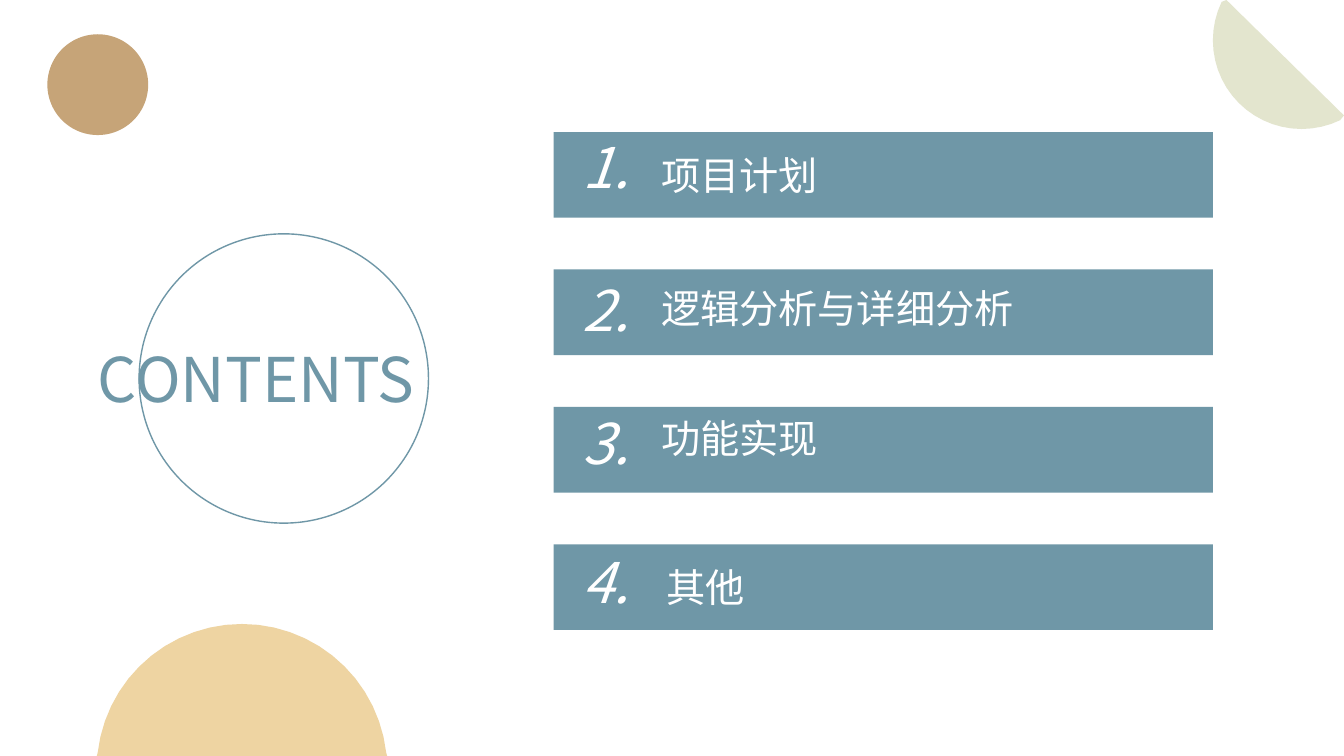
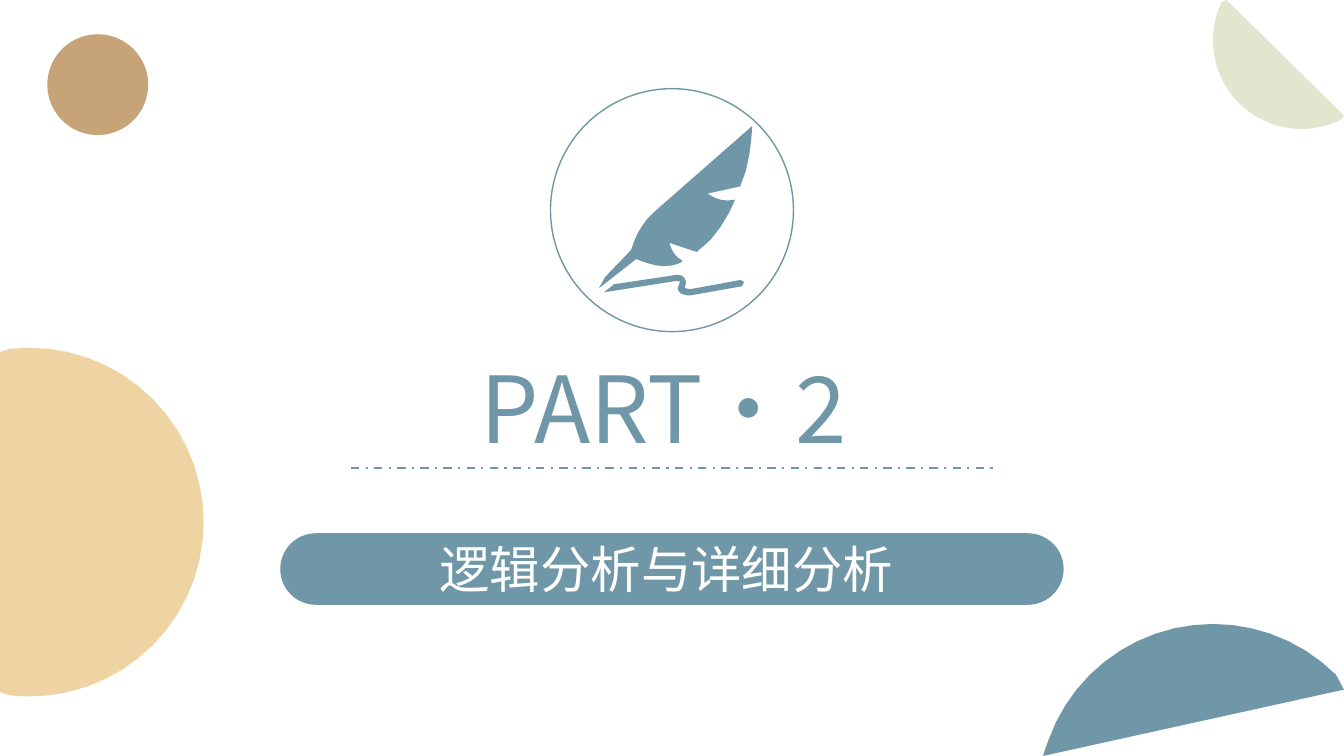
from math import cos, sin, pi
from lxml import etree
from pptx import Presentation
from pptx import util as u
from pptx.dml.color import RGBColor
from pptx.enum import dml, lang, shapes, text
from pptx.oxml.ns import qn

WIDE, HIGH = 13.33, 7.5
BLUE, SAND, TAN, SAGE, WHITE = "6F97A7", "EED4A2", "C6A478", "E3E5CE", "FFFFFF"
FONT = "Noto Sans CJK SC"
OVAL, RECT, ROUND = (shapes.MSO_SHAPE.OVAL, shapes.MSO_SHAPE.RECTANGLE,
                     shapes.MSO_SHAPE.ROUNDED_RECTANGLE)
LEFT, MID, JUST = text.PP_ALIGN.LEFT, text.PP_ALIGN.CENTER, text.PP_ALIGN.JUSTIFY

STROKE = [
    (6.69, 2.73), (6.72, 2.72, 6.75, 2.73, 6.77, 2.74),
    (6.8, 2.76, 6.81, 2.8, 6.8, 2.83), (6.79, 2.85), (6.8, 2.86), (6.84, 2.87),
    (7.33, 2.78), (7.35, 2.78), (7.38, 2.8), (7.36, 2.84), (6.85, 2.93),
    (6.82, 2.93), (6.77, 2.92), (6.74, 2.91, 6.73, 2.89, 6.72, 2.86),
    (6.74, 2.81), (6.74, 2.79), (6.69, 2.79), (5.99, 2.9), (6.09, 2.82)]
PLUME = [
    (7.46, 1.25), (7.46, 1.25, 7.45, 1.63, 7.34, 1.85), (7.02, 1.92),
    (7.02, 1.92, 7.1, 1.99, 7.22, 1.99), (7.29, 1.98),
    (7.29, 1.98, 7.16, 2.33, 6.91, 2.5), (6.64, 2.41),
    (6.64, 2.41, 6.66, 2.53, 6.77, 2.59), (6.77, 2.59, 6.72, 2.64, 6.59, 2.64),
    (6.52, 2.64, 6.43, 2.62, 6.31, 2.57), (5.94, 2.86), (6, 2.75), (6.26, 2.48),
    (6.3, 2.34, 6.37, 2.21, 6.48, 2.11)]


def color(code):
    return RGBColor.from_string(code)


def trace(path, steps):
    dots = [path[0]]
    for part in path[1:]:
        if len(part) == 2:
            dots.append(part)
            continue
        ends = [dots[-1], part[:2], part[2:4], part[4:]]
        for n in range(1, steps + 1):
            t = n / steps
            mix = ((1 - t) ** 3, 3 * t * (1 - t) ** 2, 3 * t * t * (1 - t), t ** 3)
            dots.append(tuple(sum(m * e[a] for m, e in zip(mix, ends)) for a in (0, 1)))
    return dots


def thin(dots):
    near = zip(dots[-1:] + dots[:-1], dots, dots[1:] + dots[:1])
    return [b for a, b, c in near
            if not (a[0] == b[0] == c[0] or a[1] == b[1] == c[1])]


class Deck:
    def __init__(self):
        self.prs = Presentation()
        self.prs.slide_width, self.prs.slide_height = u.Inches(WIDE), u.Inches(HIGH)

    def page(self):
        self.items = self.prs.slides.add_slide(self.prs.slide_layouts[6]).shapes

    def paint(self, item, fill=None, line=None):
        item.shadow.inherit = False
        if fill:
            item.fill.solid()
            item.fill.fore_color.rgb = color(fill)
        else:
            item.fill.background()
        if line:
            item.line.color.rgb = color(line)
            item.line.width = u.Pt(1)
        else:
            item.line.fill.background()
        return item

    def shape(self, kind, x, y, w, h, fill=None, line=None):
        item = self.items.add_shape(kind, *map(u.Inches, (x, y, w, h)))
        return self.paint(item, fill, line)

    def free(self, fill, *loops):
        loops = [[(u.Inches(x), u.Inches(y)) for x, y in loop] for loop in loops]
        pen = self.items.build_freeform(*loops[0][0])
        for n, loop in enumerate(loops):
            if n:
                pen.move_to(*loop[0])
            pen.add_line_segments(loop[1:], close=True)
        self.paint(pen.convert_to_shape(), fill)

    def disc(self, x, y, r, fill, steps=56):
        turns = [2 * pi * n / steps for n in range(steps)]
        self.free(fill, thin([(min(max(x + r * cos(a), 0), WIDE),
                               min(max(y + r * sin(a), 0), HIGH)) for a in turns]))

    def corners(self):
        self.shape(OVAL, 0.47, 0.34, 1, 1, TAN)
        self.disc(12.91, 0.4, 0.88, SAGE)

    def text(self, words, x, y, w, h, size, ink=WHITE, align=LEFT, slant=None, inset=True):
        frame = self.items.add_textbox(*map(u.Inches, (x, y, w, h))).text_frame
        frame.word_wrap = True
        frame.auto_size = text.MSO_AUTO_SIZE.SHAPE_TO_FIT_TEXT
        if not inset:
            frame.margin_left = frame.margin_right = 0
            frame.margin_top = frame.margin_bottom = 0
        para = frame.paragraphs[0]
        para.alignment = align
        run = para.add_run()
        run.text = words
        font = run.font
        font.name, font.size, font.italic = FONT, u.Pt(size), slant
        font.color.rgb = color(ink)
        font.language_id = lang.MSO_LANGUAGE_ID.SIMPLIFIED_CHINESE
        etree.SubElement(run._r.get_or_add_rPr(), qn("a:ea"), typeface=FONT)

    def rule(self, x, y, end):
        item = self.items.add_connector(shapes.MSO_CONNECTOR.STRAIGHT,
                                        *map(u.Inches, (x, y, end, y)))
        item.line.color.rgb = color(BLUE)
        item.line.width = u.Pt(1.5)
        item.line.dash_style = dml.MSO_LINE.DASH_DOT
        etree.SubElement(item._element.spPr, qn("a:effectLst"))


def contents(deck):
    deck.page()
    deck.shape(OVAL, 1.38, 2.32, 2.87, 2.87, line=BLUE)
    deck.text("CONTENTS", 0.97, 3.38, 3.63, 0.74, 44, BLUE, JUST, inset=False)
    deck.disc(2.4, 7.63, 1.44, SAND)
    deck.corners()
    rows = [("项目计划", 1.27, 6.46, 1.45), ("逻辑分析与详细分析", 2.68, 6.46, 2.77),
            ("功能实现", 4, 6.46, 4.06), ("其他", 5.38, 6.51, 5.54)]
    for n, (words, top, x, y) in enumerate(rows):
        deck.shape(RECT, 5.49, 1.31 + 4.09 * n / 3, 6.54, 0.85, BLUE)
        deck.text(f"{n + 1}.", 5.54, top, 0.93, 0.77, 40, align=MID, slant=True)
        deck.text(words, x, y, 5, 0.57, 28)


def part(deck):
    deck.page()
    deck.disc(0.29, 5.18, 1.73, SAND)
    deck.corners()
    deck.disc(12.03, 7.92, 1.73, BLUE)
    deck.shape(OVAL, 5.46, 0.88, 2.41, 2.41, line=BLUE)
    deck.shape(ROUND, 2.78, 5.29, 7.77, 0.71, BLUE).adjustments[0] = 0.5
    deck.text("逻辑分析与详细分析", 4.26, 5.29, 4.82, 0.71, 36, align=JUST)
    deck.free(BLUE, trace(STROKE, 3), trace(PLUME, 5))
    deck.text("PART·2", 4.67, 3.43, 4, 1.21, 66, BLUE, JUST)
    deck.rule(3.48, 4.64, 9.85)


def main():
    deck = Deck()
    contents(deck)
    part(deck)
    deck.prs.save("out.pptx")


if __name__ == "__main__":
    main()
